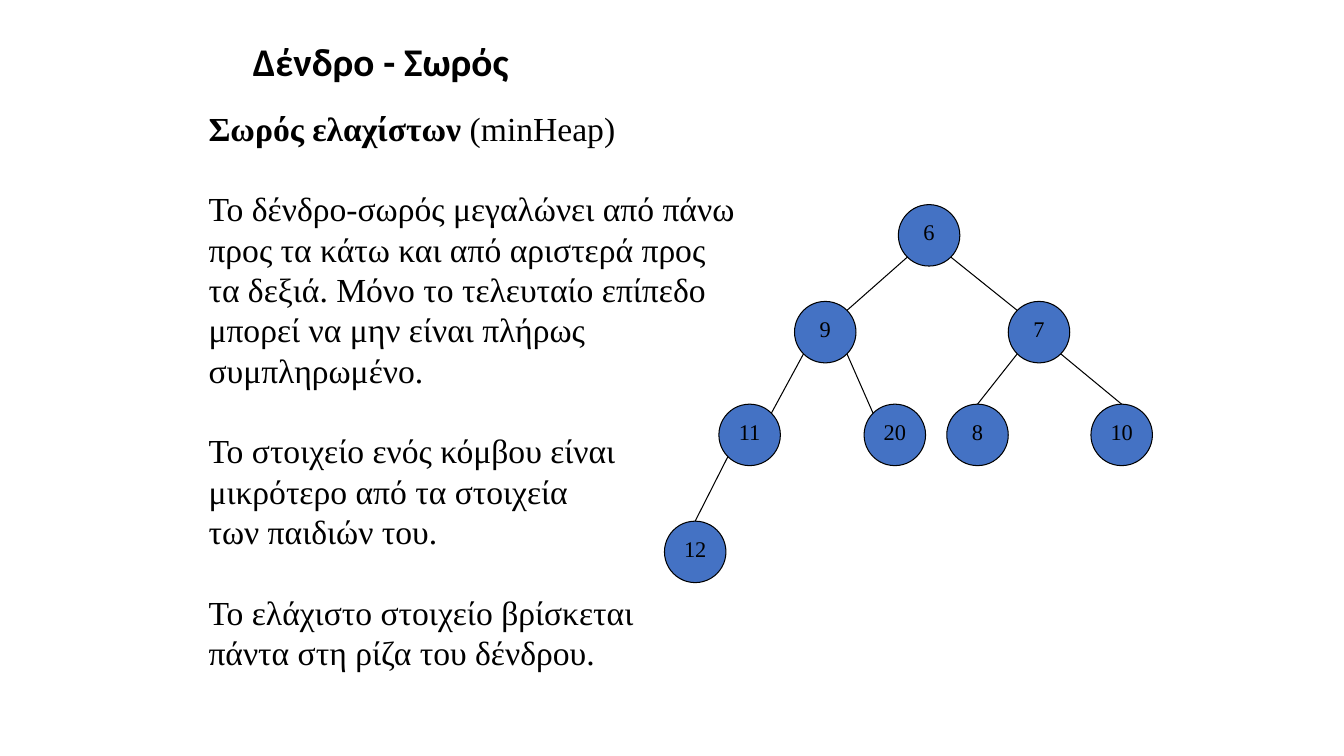
from math import sqrt

from pptx import Presentation
from pptx.dml.color import RGBColor
from pptx.enum.shapes import MSO_CONNECTOR, MSO_SHAPE
from pptx.enum.text import MSO_ANCHOR, PP_ALIGN
from pptx.oxml.ns import qn
from pptx.util import Inches, Pt

ELLIPSE, STRAIGHT = MSO_SHAPE.OVAL, MSO_CONNECTOR.STRAIGHT
TOP, MIDDLE = MSO_ANCHOR.TOP, MSO_ANCHOR.MIDDLE
LEFT, CENTER = PP_ALIGN.LEFT, PP_ALIGN.CENTER

COLORS = {"ink": "000000", "node": "4472C4"}
TITLE = "Δένδρο - Σωρός"
HEADING = ("Σωρός ελαχίστων", " (minHeap)")
STATEMENTS = [
    ["Το δένδρο-σωρός μεγαλώνει από πάνω",
     "προς τα κάτω και από αριστερά προς",
     "τα δεξιά. Μόνο το τελευταίο επίπεδο",
     "μπορεί να μην είναι πλήρως",
     "συμπληρωμένο."],
    ["Το στοιχείο ενός κόμβου είναι",
     "μικρότερο από τα στοιχεία",
     "των παιδιών του."],
    ["Το ελάχιστο στοιχείο βρίσκεται",
     "πάντα στη ρίζα του δένδρου."],
]
LEVEL_TOPS = [2.03, 2.99, 4.01, 5.17]
# value: (level, left)
NODES = {
    6: (0, 8.91), 9: (1, 7.88), 7: (1, 10), 11: (2, 7.13),
    20: (2, 8.57), 8: (2, 9.39), 10: (2, 10.82), 12: (3, 6.59),
}
# parent, child, side the edge leaves from, side it arrives at
EDGES = [
    (6, 9, "bottom left", "top right"), (6, 7, "bottom right", "top left"),
    (9, 11, "bottom left", "top right"), (9, 20, "bottom right", "top left"),
    (7, 8, "bottom left", "top"), (7, 10, "bottom right", "top"),
    (11, 12, "bottom left", "top"),
]
DIAMETER = 0.61
DIAGONAL = 1 / sqrt(2)
SIDES = {
    "top": (0, -1),
    "top left": (-DIAGONAL, -DIAGONAL), "top right": (DIAGONAL, -DIAGONAL),
    "bottom left": (-DIAGONAL, DIAGONAL), "bottom right": (DIAGONAL, DIAGONAL),
}
LINE_HEIGHT = Pt(28.8)
TITLE_FONT = {"name": "Calibri", "size": Pt(28), "bold": True}
BODY_FONT = {"name": "Times New Roman", "size": Pt(24), "bold": False}
NODE_FONT = {**BODY_FONT, "size": Pt(16)}


def apply(target, values):
    for name, value in values.items():
        setattr(target, name, value)


def add_span(para, text, font):
    span = para.add_run()
    span.text = text
    apply(span.font, font)
    span.font.color.rgb = RGBColor.from_string(COLORS["ink"])


def add_text_box(page, left, top, width, height, anchor):
    box = page.shapes.add_textbox(*map(Inches, (left, top, width, height)))
    apply(box.text_frame, {"word_wrap": True, "vertical_anchor": anchor})
    return box.text_frame


def draw_outline(line):
    line.color.rgb = RGBColor.from_string(COLORS["ink"])
    line.width = Pt(0.75)


def add_node(page, value, level, left):
    node = page.shapes.add_shape(ELLIPSE, Inches(left), Inches(LEVEL_TOPS[level]),
                                 Inches(DIAMETER), Inches(DIAMETER))
    node.shadow.inherit = False
    node.fill.solid()
    node.fill.fore_color.rgb = RGBColor.from_string(COLORS["node"])
    draw_outline(node.line)
    apply(node.text_frame, {"word_wrap": False, "vertical_anchor": TOP})
    para = node.text_frame.paragraphs[0]
    para.alignment = CENTER
    add_span(para, str(value), NODE_FONT)


def rim_point(value, side):
    """Point on the rim of a node's circle, in EMU."""
    level, left = NODES[value]
    radius = DIAMETER / 2
    across, down = SIDES[side]
    return (Inches(left + radius * (1 + across)),
            Inches(LEVEL_TOPS[level] + radius * (1 + down)))


def add_edge(page, parent, child, leaving, arriving):
    edge = page.shapes.add_connector(STRAIGHT, *rim_point(parent, leaving),
                                     *rim_point(child, arriving))
    draw_outline(edge.line)
    properties = edge._element.spPr
    properties.append(properties.makeelement(qn("a:effectLst"), {}))


def add_body(page):
    frame = add_text_box(page, 1.97, 1.02, 5.47, 5.76, TOP)
    heading = frame.paragraphs[0]
    apply(heading, {"alignment": LEFT, "line_spacing": LINE_HEIGHT})
    add_span(heading, HEADING[0], {**BODY_FONT, "bold": True})
    add_span(heading, HEADING[1], BODY_FONT)
    for statement in STATEMENTS:
        for index, text in enumerate(statement):
            para = frame.add_paragraph()
            gap = Pt(0) if index else LINE_HEIGHT
            apply(para, {"alignment": LEFT, "line_spacing": LINE_HEIGHT,
                         "space_before": gap})
            add_span(para, text, BODY_FONT)


def main():
    deck = Presentation()
    apply(deck, {"slide_width": Inches(13.33), "slide_height": Inches(7.5)})
    page = deck.slides.add_slide(deck.slide_layouts[6])
    add_body(page)
    title = add_text_box(page, 2.41, 0.36, 8.5, 0.55, MIDDLE).paragraphs[0]
    title.line_spacing = 0.9
    add_span(title, TITLE, TITLE_FONT)
    for value, (level, left) in NODES.items():
        add_node(page, value, level, left)
    for edge in EDGES:
        add_edge(page, *edge)
    deck.save("out.pptx")


if __name__ == "__main__":
    main()
